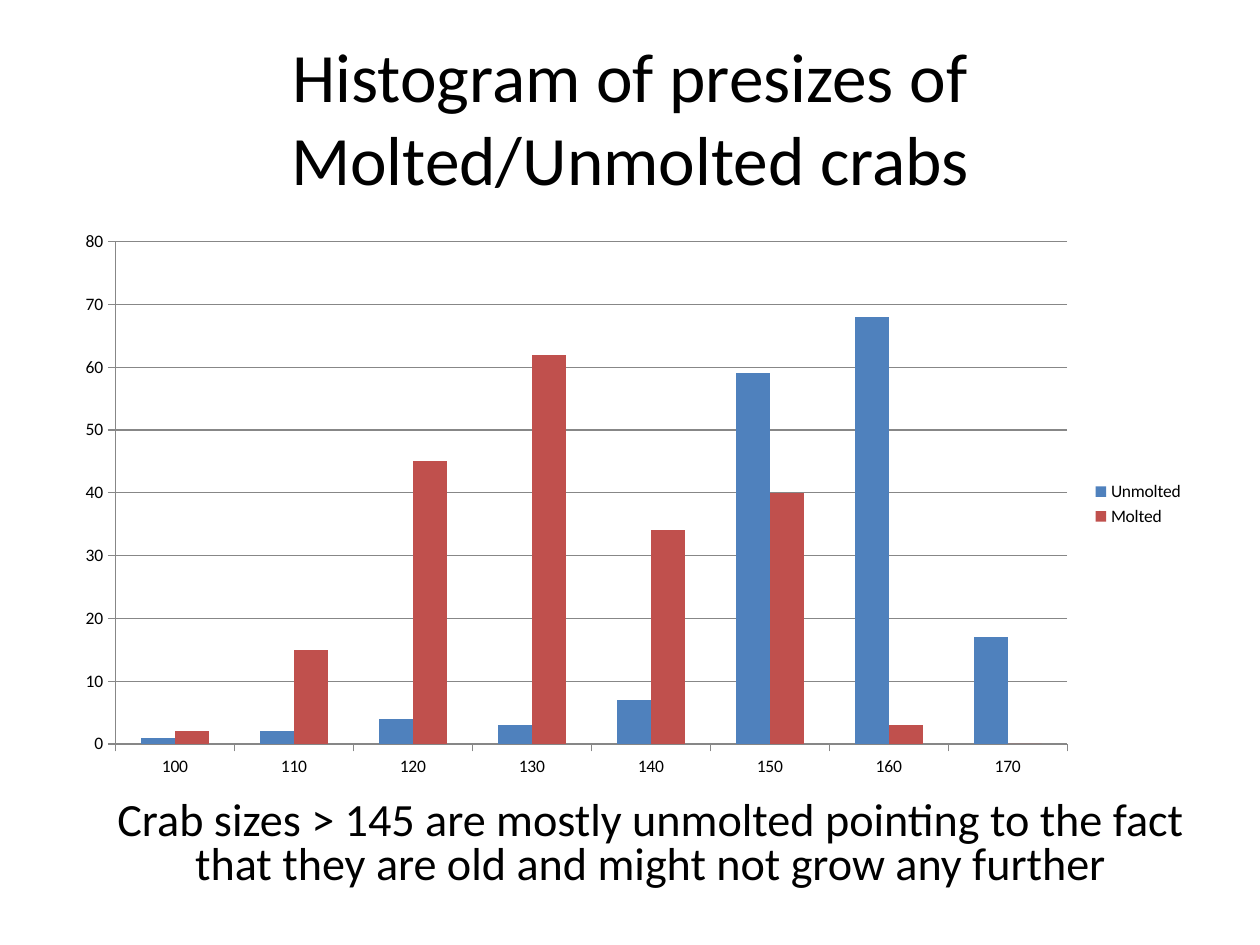
from pptx import Presentation
from pptx.chart.data import CategoryChartData
from pptx.dml.color import RGBColor
from pptx.enum.chart import XL_CHART_TYPE, XL_LEGEND_POSITION, XL_TICK_MARK
from pptx.enum.text import MSO_ANCHOR, MSO_AUTO_SIZE, PP_ALIGN
from pptx.util import Pt

# Content
TITLE = "Histogram of presizes of Molted/Unmolted crabs"
NOTE = ("Crab sizes > 145 are mostly unmolted pointing to the fact "
        "that they are old and might not grow any further")
SIZES = ["100", "110", "120", "130", "140", "150", "160", "170"]
SERIES = [
    ("Unmolted", "4F81BD", (1, 2, 4, 3, 7, 59, 68, 17)),
    ("Molted", "C0504D", (2, 15, 45, 62, 34, 40, 3, 0)),
]
FONT, BLACK, GREY = "Calibri", "000000", "878787"

# Left, top, width, height
TITLE_BOX = (36, 21.6, 648, 90)
CHART_BOX = (36, 126, 648, 324)
NOTE_BOX = (48, 438, 648, 90)


def rgb(color):
    return RGBColor.from_string(color)


def set_font(font, size):
    for name, value in {"name": FONT, "size": Pt(size), "bold": False}.items():
        setattr(font, name, value)
    font.color.rgb = rgb(BLACK)


def set_line(fmt):
    fmt.line.color.rgb = rgb(GREY)
    fmt.line.width = Pt(0.75)


def write(sp, box, text, size, spacing):
    sp.left, sp.top, sp.width, sp.height = map(Pt, box)
    tf = sp.text_frame
    frame = {"word_wrap": True, "auto_size": MSO_AUTO_SIZE.NONE,
             "vertical_anchor": MSO_ANCHOR.MIDDLE}
    for name, value in frame.items():
        setattr(tf, name, value)
    p = tf.paragraphs[0]
    p.alignment, p.line_spacing = PP_ALIGN.CENTER, spacing
    r = p.add_run()
    r.text = text
    set_font(r.font, size)


prs = Presentation()
prs.slide_width, prs.slide_height = Pt(720), Pt(540)
s = prs.slides.add_slide(prs.slide_layouts[5])

# Title
write(s.shapes.title, TITLE_BOX, TITLE, 39.6, 1.0)

# Chart
data = CategoryChartData()
data.categories = SIZES
for name, _, values in SERIES:
    data.add_series(name, values)
chart = s.shapes.add_chart(XL_CHART_TYPE.COLUMN_CLUSTERED,
                           *map(Pt, CHART_BOX), data).chart
set_font(chart.font, 10)
chart.has_title = False
chart.has_legend = True
chart.legend.position = XL_LEGEND_POSITION.RIGHT
chart.legend.include_in_layout = False

plot = chart.plots[0]
plot.gap_width, plot.overlap, plot.vary_by_categories = 150, 0, False
for ser, (_, color, _) in zip(plot.series, SERIES):
    ser.format.fill.solid()
    ser.format.fill.fore_color.rgb = rgb(color)

# Axes
for axis in (chart.category_axis, chart.value_axis):
    axis.major_tick_mark = XL_TICK_MARK.OUTSIDE
    axis.minor_tick_mark = XL_TICK_MARK.NONE
    set_line(axis.format)
for name, value in {"minimum_scale": 0, "maximum_scale": 80, "major_unit": 10,
                    "has_major_gridlines": True}.items():
    setattr(chart.value_axis, name, value)
set_line(chart.value_axis.major_gridlines.format)

# Note below the chart
write(s.shapes.add_textbox(*map(Pt, NOTE_BOX)), NOTE_BOX, NOTE, 26.4, 0.8)

prs.save("out.pptx")
